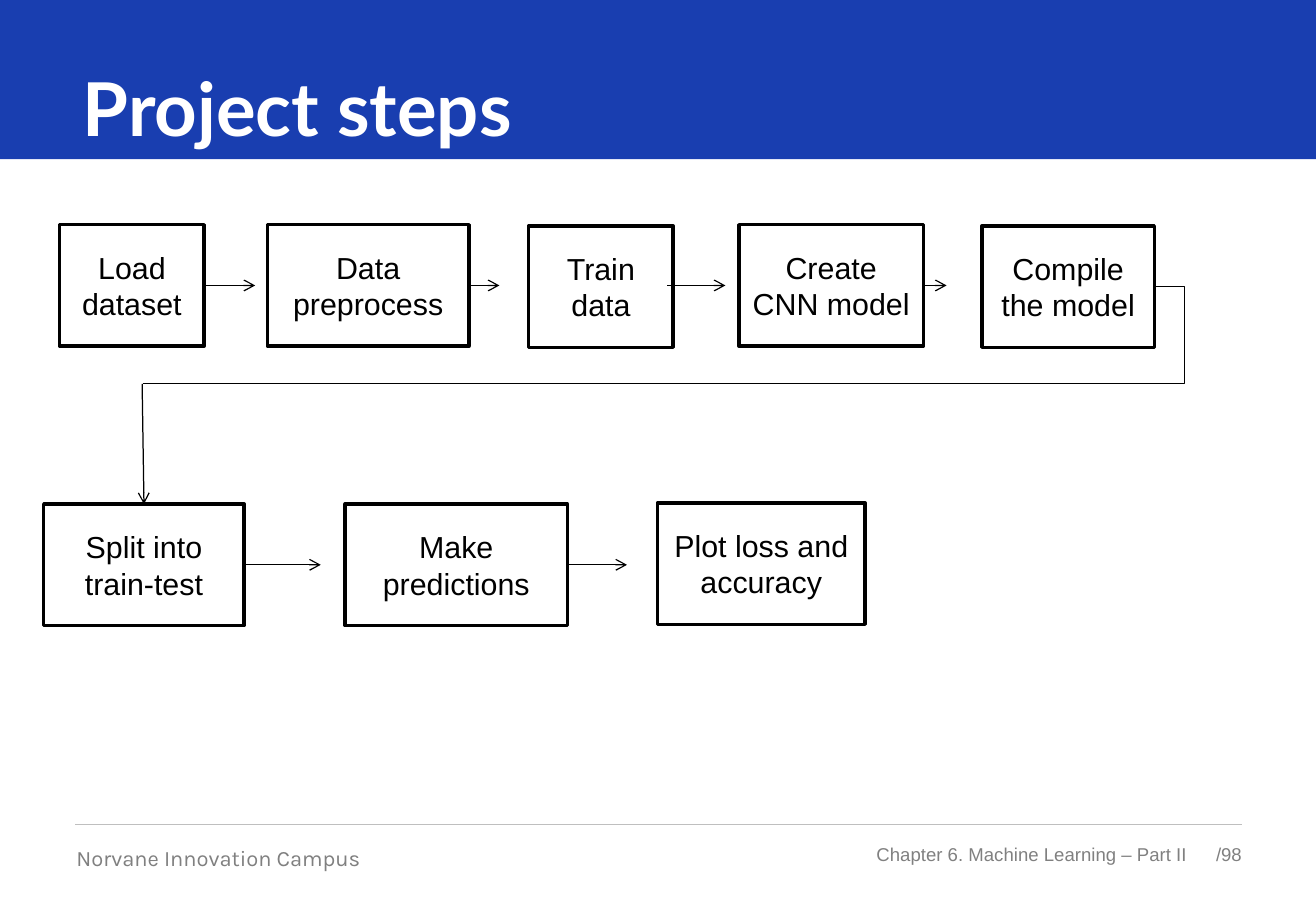
from lxml import etree
from pptx import Presentation
from pptx import util as u
from pptx.dml import color
from pptx.enum import shapes, text
from pptx.oxml import ns

COLORS = {"band": "193EB0", "white": "FFFFFF", "ink": "000000", "gray": "808080", "rule": "BFBFBF"}
STEP_HEIGHT = 1
TOP_ROW = [
    ("Load dataset", 0.49, 1.85, 1.19, 2.1),
    ("Data preprocess", 2.2, 1.85, 1.66, 4.11),
    ("Train data", 4.35, 1.86, 1.19, None),
    ("Create CNN model", 6.08, 1.85, 1.52, 7.79),
    ("Compile the model", 8.08, 1.86, 1.42, None),
]
BOTTOM_ROW = [
    ("Split into train-test", 0.36, 4.15, 1.65, 2.64),
    ("Make predictions", 2.84, 4.15, 1.83, 5.16),
    ("Plot loss and accuracy", 5.41, 4.14, 1.71, None),
]


class FlowPage:
    """Draws the elements of a flow chart on one page in a shared style."""

    def __init__(self, page):
        self.page = page
        self.shapes = page.shapes

    def rgb(self, name):
        return color.RGBColor.from_string(COLORS[name])

    def set_text(self, box, words, size, font, ink, align, bold=False, side=0.0):
        frame = box.text_frame
        frame.margin_left = frame.margin_right = u.Inches(side)
        frame.margin_top = frame.margin_bottom = 0
        frame.word_wrap = True
        frame.auto_size = text.MSO_AUTO_SIZE.NONE
        frame.vertical_anchor = text.MSO_ANCHOR.MIDDLE
        para = frame.paragraphs[0]
        para.alignment = align
        span = para.add_run()
        span.text = words
        span.font.size = u.Pt(size)
        span.font.name = font
        span.font.bold = bold
        span.font.color.rgb = self.rgb(ink)
        return para

    def rectangle(self, left, top, width, height, fill, line=None):
        box = self.shapes.add_shape(shapes.MSO_SHAPE.RECTANGLE, *map(u.Inches, (left, top, width, height)))
        box.shadow.inherit = False
        box.fill.solid()
        box.fill.fore_color.rgb = self.rgb(fill)
        if line:
            box.line.color.rgb = self.rgb(line)
            box.line.width = u.Pt(2)
        else:
            box.line.fill.background()
        return box

    def title(self, words):
        band = self.rectangle(0, 0, 10.83, 1.31, "band")
        title = self.shapes.title
        title.left, title.top, title.width, title.height = map(u.Inches, (0.54, 0.3, 9.75, 1.25))
        para = self.set_text(title, words, 44, "Lato", "white", text.PP_ALIGN.LEFT, True, 0.14)
        para.line_spacing = 0.9
        band.element.addnext(title.element)

    def label(self, words, left, top, width, height, size, font, align):
        box = self.shapes.add_textbox(*map(u.Inches, (left, top, width, height)))
        self.set_text(box, words, size, font, "gray", align)

    def connector(self, start, end, ink="ink", arrow=False, kind=shapes.MSO_CONNECTOR.STRAIGHT):
        line = self.shapes.add_connector(kind, *map(u.Inches, start + end))
        line.line.color.rgb = self.rgb(ink)
        line.line.width = u.Pt(0.75)
        if arrow:
            etree.SubElement(line.element.spPr.get_or_add_ln(), ns.qn("a:tailEnd"), type="arrow")
        etree.SubElement(line.element.spPr, ns.qn("a:effectLst"))
        return line

    def step(self, words, left, top, width, tip):
        box = self.rectangle(left, top, width, STEP_HEIGHT, "white", "ink")
        self.set_text(box, words, 18, "Arial", "ink", text.PP_ALIGN.CENTER, side=0.1)
        if tip:
            middle = top + STEP_HEIGHT / 2
            self.connector((left + width, middle), (tip, middle), arrow=True).begin_connect(box, 3)
        return box

    def elbow(self, box, start, end, bend):
        line = self.connector(start, end, kind=shapes.MSO_CONNECTOR.ELBOW)
        line.begin_connect(box, 3)
        guides = line.element.spPr.find(ns.qn("a:prstGeom")).get_or_add_avLst()
        etree.SubElement(guides, ns.qn("a:gd"), name="adj1", fmla=f"val {round(bend * 100000)}")


def main():
    deck = Presentation()
    deck.slide_width, deck.slide_height = u.Inches(10.83), u.Inches(7.5)
    flow = FlowPage(deck.slides.add_slide(deck.slide_layouts[5]))
    right = text.PP_ALIGN.RIGHT

    flow.title("Project steps")
    flow.label("Chapter 6. Machine Learning – Part II", 6.95, 6.94, 2.82, 0.18, 11, "Arial", right)
    flow.label("/98", 9.63, 6.85, 0.59, 0.37, 11, "Arial", right)
    flow.connector((0.62, 6.79), (10.22, 6.79), "rule")
    flow.label("Norvane Innovation Campus", 0.63, 6.95, 3.16, 0.22, 13, "Karla", text.PP_ALIGN.LEFT)

    top_boxes = [flow.step(*step) for step in TOP_ROW]
    bottom_boxes = [flow.step(*step) for step in BOTTOM_ROW]
    flow.connector((5.49, 2.35), (5.97, 2.35), arrow=True)
    flow.connector((1.17, 3.16), (1.18, 4.15), arrow=True).end_connect(bottom_boxes[0], 0)
    flow.elbow(top_boxes[-1], (9.5, 2.36), (1.18, 3.16), -0.03)
    deck.save("out.pptx")


if __name__ == "__main__":
    main()
